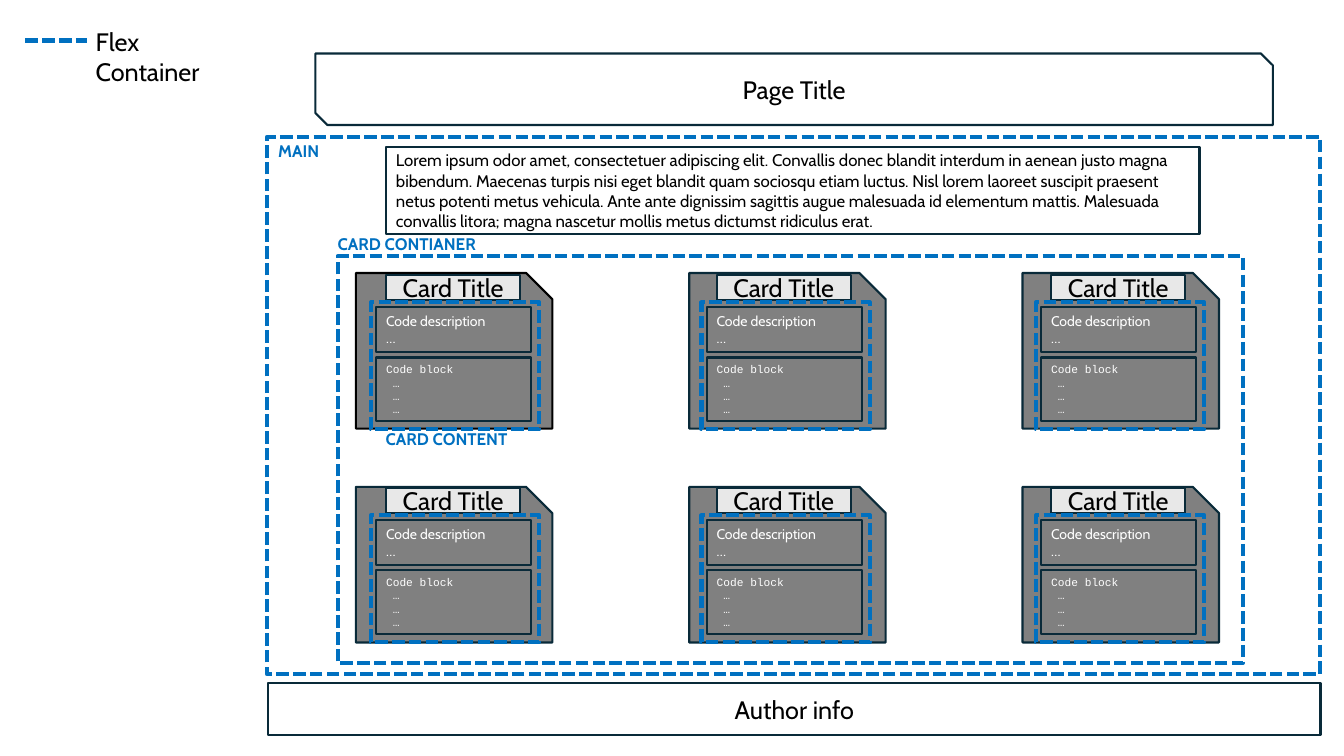
import pptx
import pptx.dml.color
import pptx.enum.dml
import pptx.enum.shapes
import pptx.enum.text
import pptx.oxml.ns
import pptx.util
from lxml import etree

Cm = pptx.util.Cm
Pt = pptx.util.Pt
SHAPES = pptx.enum.shapes.MSO_SHAPE
ALIGN = pptx.enum.text.PP_ALIGN

NAVY = "092A39"
BLUE = "0070C0"
GRAY = "808080"
BLACK = "000000"
WHITE = "FFFFFF"

INTRO = (
    "Lorem ipsum odor amet, consectetuer adipiscing elit. Convallis donec blandit "
    "interdum in aenean justo magna bibendum. Maecenas turpis nisi eget blandit quam "
    "sociosqu etiam luctus. Nisl lorem laoreet suscipit praesent netus potenti metus "
    "vehicula. Ante ante dignissim sagittis augue malesuada id elementum mattis. "
    "Malesuada convallis litora; magna nascetur mollis metus dictumst ridiculus erat."
)


def rgb(color):
    return pptx.dml.color.RGBColor.from_string(color)


def set_line(sp, color, width=1.5, dashed=False):
    sp.line.color.rgb = rgb(color)
    sp.line.width = Pt(width)
    if dashed:
        sp.line.dash_style = pptx.enum.dml.MSO_LINE.SQUARE_DOT


def set_fill(sp, color):
    sp.shadow.inherit = False
    if color:
        sp.fill.solid()
        sp.fill.fore_color.rgb = rgb(color)
    else:
        sp.fill.background()


def write(sp, text, size=18, font="Cabin", color=BLACK, bold=False,
          align=ALIGN.LEFT, anchor=pptx.enum.text.MSO_ANCHOR.MIDDLE):
    tf = sp.text_frame
    tf.word_wrap = True
    tf.vertical_anchor = anchor
    for i, line in enumerate(text.split("\n")):
        p = tf.paragraphs[0] if i == 0 else tf.add_paragraph()
        p.alignment = align
        r = p.add_run()
        r.text = line
        r.font.size = Pt(size)
        r.font.name = font
        r.font.bold = bold
        r.font.color.rgb = rgb(color)


def add_box(slide, x, y, w, h, text=None, fill=None, shape=SHAPES.RECTANGLE, **fmt):
    sp = slide.shapes.add_shape(shape, Cm(x), Cm(y), Cm(w), Cm(h))
    set_fill(sp, fill)
    set_line(sp, NAVY)
    if text:
        write(sp, text, **fmt)


def add_flex(slide, x, y, w, h):
    sp = slide.shapes.add_shape(SHAPES.RECTANGLE, Cm(x), Cm(y), Cm(w), Cm(h))
    set_fill(sp, None)
    set_line(sp, BLUE, 3, dashed=True)


def add_label(slide, x, y, w, h, text, **fmt):
    sp = slide.shapes.add_textbox(Cm(x), Cm(y), Cm(w), Cm(h))
    write(sp, text, anchor=pptx.enum.text.MSO_ANCHOR.TOP, **fmt)
    sp.text_frame.auto_size = pptx.enum.text.MSO_AUTO_SIZE.SHAPE_TO_FIT_TEXT


def add_legend_line(slide, x1, x2, y):
    sp = slide.shapes.add_connector(
        pptx.enum.shapes.MSO_CONNECTOR.STRAIGHT, Cm(x1), Cm(y), Cm(x2), Cm(y))
    set_line(sp, BLUE, 3, dashed=True)
    etree.SubElement(sp.element.spPr, pptx.oxml.ns.qn("a:effectLst"))


def add_card_outline(slide, x, y, line):
    w, h, snip = 4.95, 3.92, 0.66
    builder = slide.shapes.build_freeform(Cm(x), Cm(y))
    corners = [(x + w - snip, y), (x + w, y + snip), (x + w, y + h), (x, y + h)]
    builder.add_line_segments([(Cm(a), Cm(b)) for a, b in corners], close=True)
    sp = builder.convert_to_shape()
    set_fill(sp, GRAY)
    set_line(sp, line)


def add_card_content(slide, x, y):
    add_box(slide, x, y, 3.38, 0.64, "Card Title", fill="E8E8E8", align=ALIGN.CENTER)
    add_box(slide, x - 0.25, y + 0.81, 3.91, 1.14, "Code description\n…",
            fill=GRAY, size=10, color=WHITE)
    add_box(slide, x - 0.25, y + 2.08, 3.91, 1.6, "Code block\n …\n …\n …",
            fill=GRAY, size=8, font="Courier New", color=WHITE)
    add_flex(slide, x - 0.38, y + 0.69, 4.24, 3.2)


def main():
    prs = pptx.Presentation()
    prs.slide_width = Cm(33.87)
    prs.slide_height = Cm(19.05)
    slide = prs.slides.add_slide(prs.slide_layouts[6])

    add_legend_line(slide, 0.64, 2.18, 1.02)
    add_label(slide, 2.16, 0.53, 3.84, 1.8, "Flex Container")

    add_flex(slide, 6.73, 3.45, 26.54, 13.54)
    add_box(slide, 7.95, 1.35, 24.13, 1.8, "Page Title",
            shape=SHAPES.SNIP_2_DIAG_RECTANGLE, align=ALIGN.CENTER)
    add_box(slide, 6.76, 17.22, 26.52, 1.3, "Author info", align=ALIGN.CENTER)
    add_box(slide, 9.73, 3.71, 20.5, 2.18, INTRO, size=12)

    for row in range(2):
        for col, content_x in enumerate((9.73, 18.06, 26.49)):
            line = BLACK if row == col == 0 else NAVY
            add_card_outline(slide, 8.97 + col * 8.4, 6.88 + row * 5.39, line)
            add_card_content(slide, content_x, 6.93 + row * 5.36)

    add_flex(slide, 8.51, 6.45, 22.81, 10.26)
    for x, y, w, text in (
        (6.76, 3.43, 2.97, "MAIN"),
        (8.26, 5.77, 4.95, "CARD CONTIANER"),
        (9.47, 10.67, 4.95, "CARD CONTENT"),
    ):
        add_label(slide, x, y, w, 0.76, text, size=12, color=BLUE, bold=True)

    prs.save("out.pptx")


if __name__ == "__main__":
    main()
